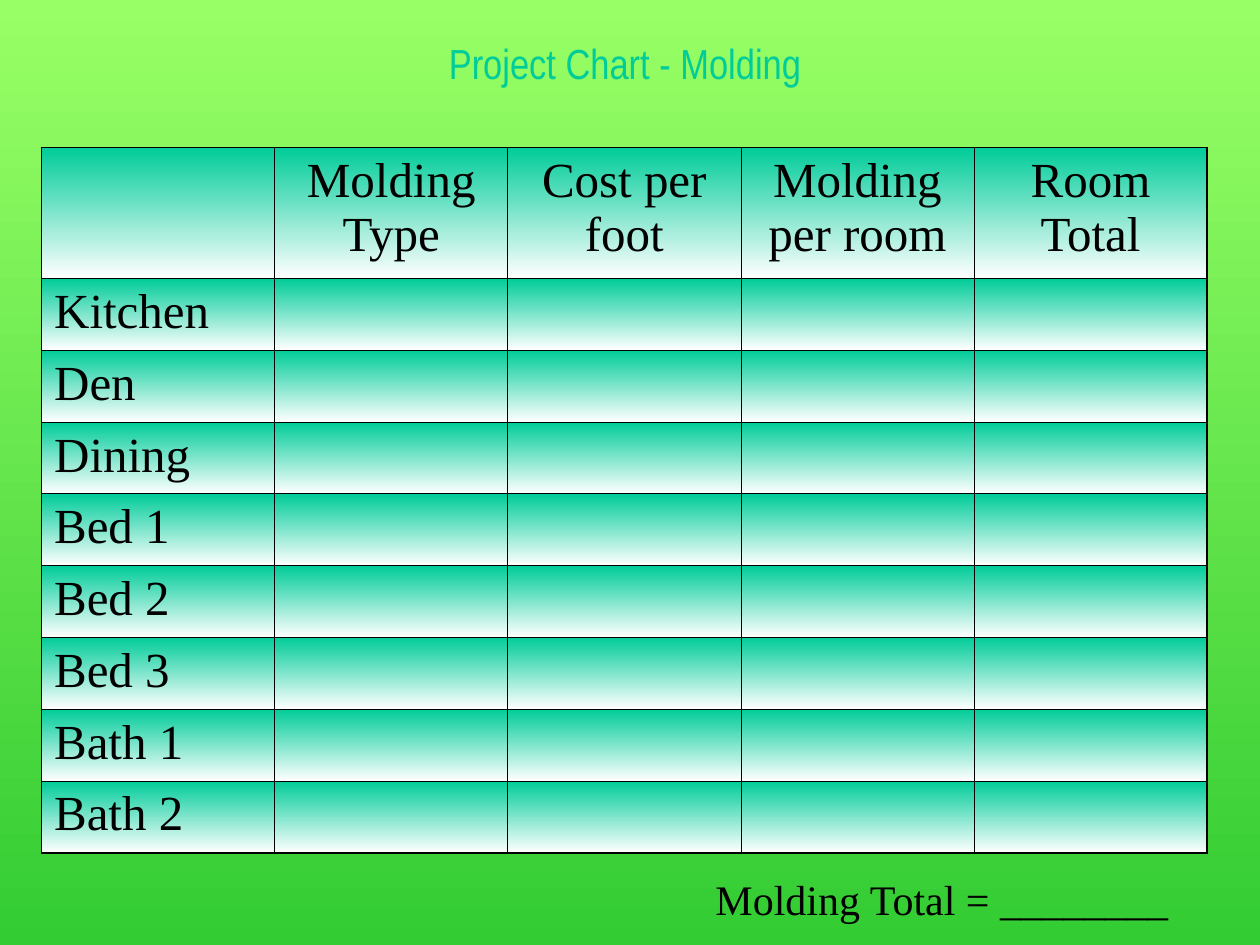
import dataclasses

import lxml.etree
import pptx
import pptx.dml.color
import pptx.enum.text
import pptx.oxml.ns
import pptx.util

Inches = pptx.util.Inches
Pt = pptx.util.Pt
Align = pptx.enum.text.PP_ALIGN


@dataclasses.dataclass(frozen=True)
class Theme:
    background: tuple = ("99FF66", "33CC33")
    cell: tuple = ("00CC99", "FFFFFF")
    title: str = "00CC99"
    ink: str = "000000"
    title_font: str = "Arial Narrow"
    body_font: str = "Times New Roman"
    text_size: int = 24
    table_size: int = 28
    outer_line: float = 1.08
    inner_line: float = 0.45


THEME = Theme()
HEADINGS = ["", "Molding Type", "Cost per foot", "Molding per room", "Room Total"]
ROOMS = ["Kitchen", "Den", "Dining", "Bed 1", "Bed 2", "Bed 3", "Bath 1", "Bath 2"]


def rgb(value):
    return pptx.dml.color.RGBColor.from_string(value)


def fill_downward(fill, colours):
    fill.gradient()
    fill.gradient_angle = 270
    for stop, colour in zip(fill.gradient_stops, colours):
        stop.color.rgb = rgb(colour)


def write(frame, text, font, size, colour, align=Align.LEFT):
    paragraph = frame.paragraphs[0]
    paragraph.alignment = align
    run = paragraph.add_run()
    run.text = text
    run.font.name = font
    run.font.size = Pt(size)
    run.font.color.rgb = rgb(colour)


def set_borders(cell, widths):
    properties = cell._tc.get_or_add_tcPr()
    for index, (side, width) in enumerate(widths.items()):
        line = lxml.etree.Element(pptx.oxml.ns.qn(f"a:ln{side}"), w=str(Pt(width)))
        fill = lxml.etree.SubElement(line, pptx.oxml.ns.qn("a:solidFill"))
        lxml.etree.SubElement(fill, pptx.oxml.ns.qn("a:srgbClr"), val=THEME.ink)
        properties.insert(index, line)


def add_title(slide, text):
    title = slide.shapes.title
    title.left, title.top = Inches(1.92), Inches(0.25)
    title.width, title.height = Inches(6.08), Inches(0.83)
    frame = title.text_frame
    frame.word_wrap = False
    frame.auto_size = pptx.enum.text.MSO_AUTO_SIZE.NONE
    frame.vertical_anchor = pptx.enum.text.MSO_ANCHOR.TOP
    write(frame, text, THEME.title_font, THEME.text_size, THEME.title, Align.CENTER)


def add_molding_table(slide):
    rows = [HEADINGS] + [[room] + [""] * (len(HEADINGS) - 1) for room in ROOMS]
    last_row, last_column = len(rows) - 1, len(HEADINGS) - 1
    table = slide.shapes.add_table(
        len(rows), len(HEADINGS), Inches(0.33), Inches(1.17), Inches(9.25), Inches(5.6)
    ).table
    table.first_row = table.horz_banding = False
    for column in table.columns:
        column.width = Inches(1.85)
    for r, labels in enumerate(rows):
        table.rows[r].height = Inches(0.57 if r else 1.04)
        for c, label in enumerate(labels):
            cell = table.cell(r, c)
            fill_downward(cell.fill, THEME.cell)
            edges = {"L": c == 0, "R": c == last_column, "T": r == 0, "B": r == last_row}
            set_borders(cell, {
                side: THEME.outer_line if outer else THEME.inner_line
                for side, outer in edges.items()
            })
            if label:
                write(cell.text_frame, label, THEME.body_font, THEME.table_size,
                      THEME.ink, Align.LEFT if r else Align.CENTER)


def add_total(slide, text):
    total = slide.shapes.add_textbox(Inches(5.58), Inches(6.88), Inches(4.05), Inches(0.5))
    frame = total.text_frame
    frame.word_wrap = True
    frame.auto_size = pptx.enum.text.MSO_AUTO_SIZE.SHAPE_TO_FIT_TEXT
    write(frame, text, THEME.body_font, THEME.text_size, THEME.ink)


def main():
    deck = pptx.Presentation()
    deck.slide_width, deck.slide_height = Inches(10), Inches(7.5)
    slide = deck.slides.add_slide(deck.slide_layouts.get_by_name("Title Only"))
    fill_downward(slide.background.fill, THEME.background)
    add_title(slide, "Project Chart - Molding")
    add_molding_table(slide)
    add_total(slide, "Molding Total = ________")
    deck.save("out.pptx")


if __name__ == "__main__":
    main()
